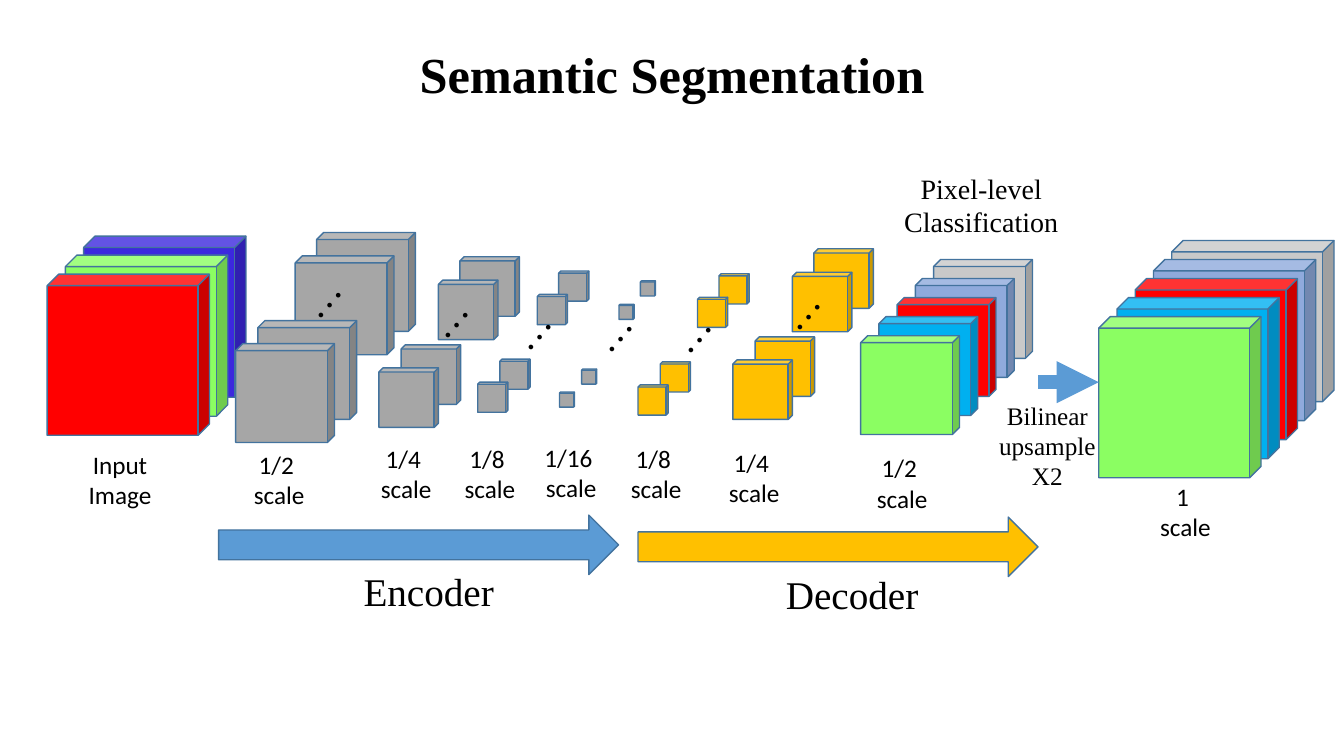
from dataclasses import dataclass

from lxml import etree
from pptx import Presentation
from pptx.dml.color import RGBColor
from pptx.enum.shapes import MSO_CONNECTOR, MSO_SHAPE
from pptx.enum.text import MSO_ANCHOR, PP_ALIGN
from pptx.oxml.ns import qn
from pptx.util import Cm, Pt

CUBE = MSO_SHAPE.CUBE
RIGHT_ARROW = MSO_SHAPE.RIGHT_ARROW
STRAIGHT = MSO_CONNECTOR.STRAIGHT
CENTER = PP_ALIGN.CENTER
TOP, MIDDLE = MSO_ANCHOR.TOP, MSO_ANCHOR.MIDDLE


@dataclass(frozen=True)
class Theme:
    serif: str = "Times New Roman"
    sans: str = "Calibri"
    title: int = 36
    heading: int = 28
    note: int = 20
    label: int = 18
    black: str = "000000"
    outline: str = "43739E"
    blue: str = "5B9BD5"
    amber: str = "FFC000"
    feature: str = "A6A6A6"
    green: str = "8BFE62"
    red: str = "FF0000"
    violet: str = "3C28DE"
    sky: str = "00B0F0"
    slate: str = "8FAADC"
    silver: str = "C9C9C9"


THEME = Theme()

# Colours from the front layer to the back one
INPUT_CHANNELS = (THEME.red, THEME.green, THEME.violet)
CLASS_MAPS = (THEME.green, THEME.sky, THEME.red, THEME.slate, THEME.silver)

# Offsets in cm from the front cube of a stack
LAYER_STEP = (0.46, -0.48)
FEATURE_OFFSETS = ((2.04, -2.8), (1.5, -2.21), (0.56, -0.58), (0, 0))
CUBE_DEPTH = 0.071
DOTS_ANGLE = 311.1

# Feature stacks: front left, front top, cube side, colour, dots box
FEATURE_STACKS = (
    (5.94, 8.66, 2.49, THEME.feature, (6.45, 6.76, 3.23, 1.45)),
    (9.55, 9.27, 1.5, THEME.feature, (10.52, 7.24, 1.5, 1.5)),
    (12.04, 9.63, 0.76, THEME.feature, (12.62, 7.59, 1.4, 1.45)),
    (14.1, 9.88, 0.38, THEME.feature, (14.73, 7.77, 1.02, 1.45)),
    (16.08, 9.7, 0.76, THEME.amber, (16.66, 7.67, 1.4, 1.45)),
    (18.47, 9.07, 1.5, THEME.amber, (19.41, 7.04, 1.5, 1.5)),
)

# Scale labels: text, left, top
SCALES = (
    ("1/2 ", 5.51, 11.2),
    ("1/4 ", 8.71, 11.05),
    ("1/8 ", 10.82, 11.05),
    ("1/16 ", 12.87, 11.02),
    ("1/8 ", 15.01, 11.05),
    ("1/4 ", 17.48, 11.15),
    ("1/2 ", 21.21, 11.28),
    ("1 ", 28.35, 12.01),
)
LABEL_SIZE = (3.05, 1.8)


def add_solid(s, kind, box, color):
    """Outlined preset shape with a flat fill."""
    sp = s.shapes.add_shape(kind, *map(Cm, box))
    sp.shadow.inherit = False
    sp.fill.solid()
    sp.fill.fore_color.rgb = RGBColor.from_string(color)
    sp.line.color.rgb = RGBColor.from_string(THEME.outline)
    sp.line.width = Pt(1)
    return sp


def add_cube(s, left, top, width, height, color):
    sp = add_solid(s, CUBE, (left, top, width, height), color)
    sp.adjustments[0] = CUBE_DEPTH


def add_text(s, box, lines, size, font, bold=False, anchor=TOP):
    """Centred text box with one paragraph per line."""
    sp = s.shapes.add_textbox(*map(Cm, box))
    tf = sp.text_frame
    tf.word_wrap = True
    tf.vertical_anchor = anchor
    for i, line in enumerate(lines):
        p = tf.add_paragraph() if i else tf.paragraphs[0]
        p.alignment = CENTER
        r = p.add_run()
        r.text = line
        r.font.size = Pt(size)
        r.font.name = font
        r.font.bold = bold
        r.font.color.rgb = RGBColor.from_string(THEME.black)
    return sp


def add_layers(s, left, top, width, height, colors):
    """Evenly stepped cubes, drawn from back to front."""
    dx, dy = LAYER_STEP
    for i, color in reversed(list(enumerate(colors))):
        add_cube(s, left + i * dx, top + i * dy, width, height, color)


def add_feature_stack(s, left, top, side, color, dots):
    """Two pairs of cubes with slanted dots between them."""
    for dx, dy in FEATURE_OFFSETS:
        add_cube(s, left + dx, top + dy, side, side, color)
    sp = add_text(s, dots, ["…"], THEME.heading, THEME.serif)
    sp.rotation = DOTS_ANGLE


def add_stage(s, name, arrow_box, name_box, color):
    add_solid(s, RIGHT_ARROW, arrow_box, color)
    add_text(s, name_box, [name], THEME.heading, THEME.serif)


def add_thick_arrow(s, x1, x2, y):
    cn = s.shapes.add_connector(STRAIGHT, Cm(x1), Cm(y), Cm(x2), Cm(y))
    cn.line.color.rgb = RGBColor.from_string(THEME.blue)
    cn.line.width = Pt(10)
    ln = cn.line._get_or_add_ln()
    etree.SubElement(ln, qn("a:tailEnd"), type="triangle")
    etree.SubElement(cn._element.spPr, qn("a:effectLst"))


def main():
    prs = Presentation()
    prs.slide_width, prs.slide_height = Cm(33.87), Cm(19.05)
    s = prs.slides.add_slide(prs.slide_layouts[6])

    # Title
    title = add_text(s, (1.7, 0.76, 30.48, 2.39), ["Semantic Segmentation"],
                     THEME.title, THEME.serif, bold=True, anchor=MIDDLE)
    title.text_frame.paragraphs[0].line_spacing = 0.9

    # Input, features and class predictions
    add_layers(s, 1.19, 6.91, 4.09, 4.06, INPUT_CHANNELS)
    for stack in FEATURE_STACKS:
        add_feature_stack(s, *stack)
    add_layers(s, 21.69, 8.46, 2.49, 2.49, CLASS_MAPS)
    add_layers(s, 27.69, 7.98, 4.09, 4.06, CLASS_MAPS)

    # Labels under the stacks
    add_text(s, (1.5, 11.2, *LABEL_SIZE), ["Input Image"],
             THEME.label, THEME.sans)
    for scale, left, top in SCALES:
        add_text(s, (left, top, *LABEL_SIZE), [scale, "scale"],
                 THEME.label, THEME.sans)

    # Encoder and decoder stages
    add_stage(s, "Encoder", (5.51, 12.98, 10.08, 1.5),
              (8.76, 14.17, 4.09, 1.45), THEME.blue)
    add_stage(s, "Decoder", (16.08, 13.03, 10.08, 1.5),
              (19.43, 14.25, 4.09, 1.45), THEME.amber)

    # Classification and upsampling
    add_text(s, (22, 4.19, 5.46, 1.96), ["Pixel-level", "Classification"],
             THEME.note, THEME.serif)
    add_thick_arrow(s, 26.16, 27.69, 9.63)
    add_text(s, (24.59, 9.96, 3.61, 2.57), ["Bilinear upsample", "X2"],
             THEME.label, THEME.serif)

    prs.save("out.pptx")


if __name__ == "__main__":
    main()
